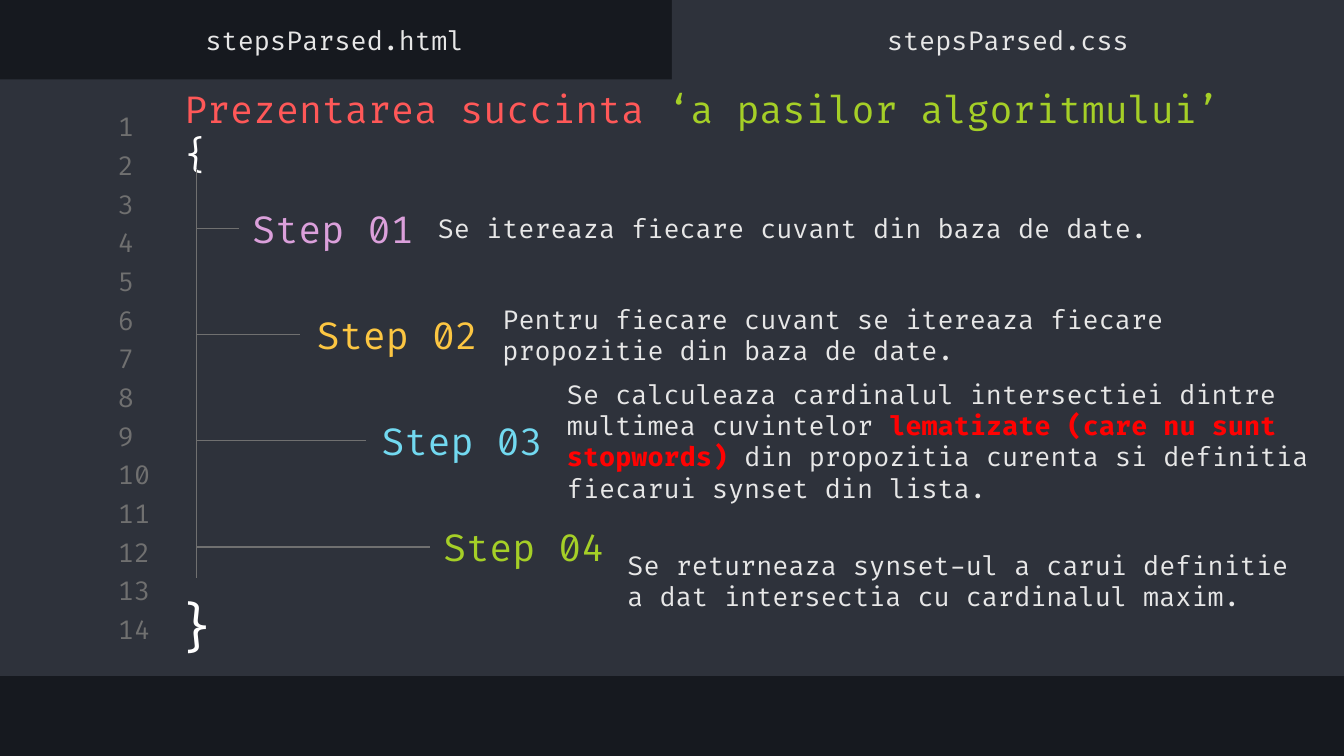
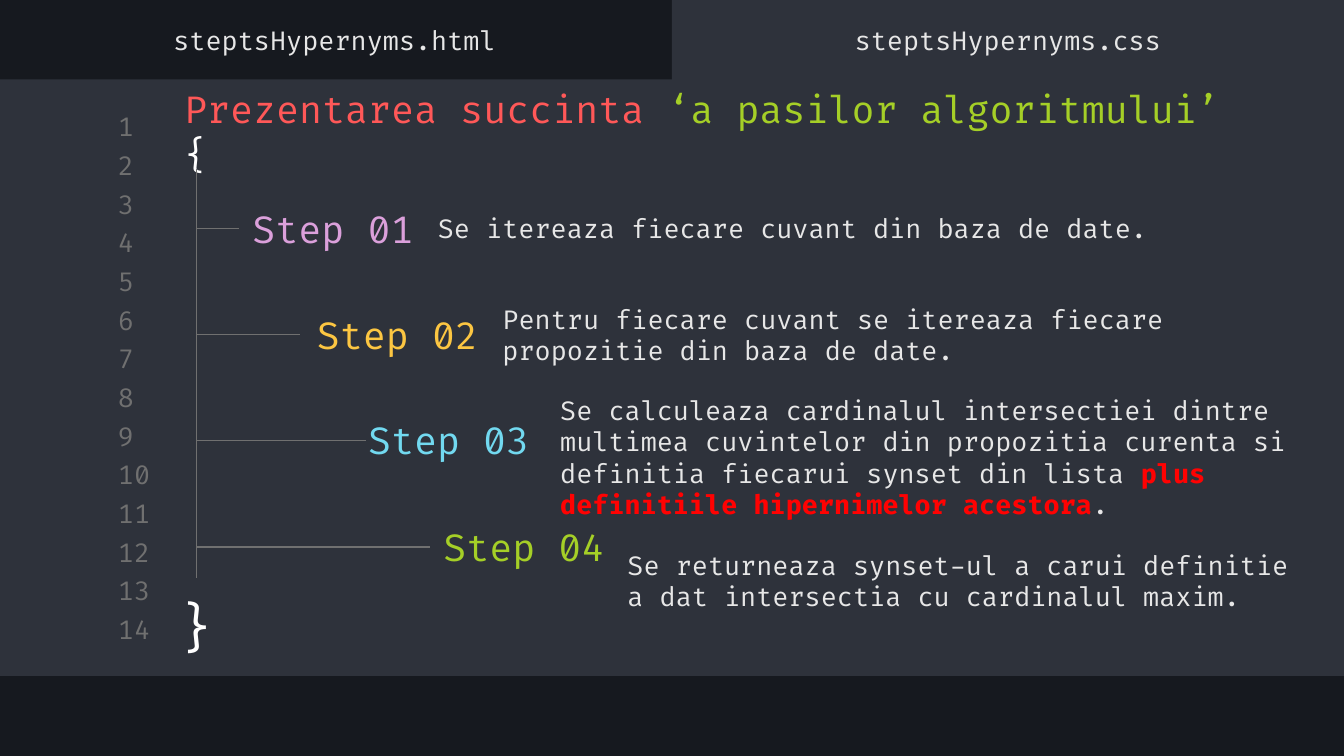
from dataclasses import dataclass

from lxml import etree
from pptx import Presentation
from pptx.dml.color import RGBColor
from pptx.enum import shapes, text
from pptx.oxml import ns
from pptx.util import Inches, Pt


@dataclass(frozen=True)
class Theme:
    font: str = "Fira Code"
    backdrop: str = "16191F"
    panel: str = "2E323B"
    muted: str = "707070"
    body: str = "E7E7E7"
    white: str = "FFFFFF"
    coral: str = "FF5858"
    lime: str = "A5CF27"
    violet: str = "DBA0DB"
    amber: str = "FCC642"
    sky: str = "72D9F0"
    alert: str = "FF0202"
    small: int = 14
    large: int = 20
    brace: int = 28
    rule: float = 0.75


THEME = Theme()
LEFT, CENTER = text.PP_ALIGN.LEFT, text.PP_ALIGN.CENTER
TOP, MIDDLE = text.MSO_ANCHOR.TOP, text.MSO_ANCHOR.MIDDLE

LINE_COUNT = 14
FIRST_LINE, LAST_LINE = 0.82, 4.56
TRUNK_X = 1.46
STEP_TOP, STEP_GAP, STEP_HEIGHT = 1.38, 0.79, 0.64
LABEL_WIDTH = 1.42
STEP_COLORS = (THEME.violet, THEME.amber, THEME.sky, THEME.lime)
RAIL_ENDS = (1.78, 2.23, 2.72, 3.2)


@dataclass
class Step:
    label_at: tuple
    detail_at: tuple
    detail_width: float
    detail: list


def step_top(index):
    return round(STEP_TOP + index * STEP_GAP, 2)


def plain(words):
    return [[(words, THEME.body, False)]]


def fill_frame(frame, paragraphs, size, align=LEFT, anchor=MIDDLE):
    frame.word_wrap = True
    frame.auto_size = text.MSO_AUTO_SIZE.NONE
    frame.vertical_anchor = anchor
    frame.margin_left = frame.margin_right = Inches(0.1)
    frame.margin_top = frame.margin_bottom = Inches(0.1)
    for index, pieces in enumerate(paragraphs):
        paragraph = frame.add_paragraph() if index else frame.paragraphs[0]
        paragraph.alignment = align
        paragraph.space_before = Pt(0)
        for words, color, bold in pieces:
            run = paragraph.add_run()
            run.text = words
            run.font.name = THEME.font
            run.font.size = Pt(size)
            run.font.bold = bold
            run.font.color.rgb = RGBColor.from_string(color)


def add_words(slide, box, paragraphs, size, align=LEFT, anchor=MIDDLE):
    words = slide.shapes.add_textbox(*map(Inches, box))
    fill_frame(words.text_frame, paragraphs, size, align, anchor)
    return words


def add_panel(slide, box):
    panel = slide.shapes.add_shape(shapes.MSO_SHAPE.RECTANGLE, *map(Inches, box))
    panel.shadow.inherit = False
    panel.fill.solid()
    panel.fill.fore_color.rgb = RGBColor.from_string(THEME.panel)
    panel.line.fill.background()
    return panel


def add_rule(slide, start, end):
    rule = slide.shapes.add_connector(
        shapes.MSO_CONNECTOR.STRAIGHT, *map(Inches, (*start, *end)))
    rule.line.color.rgb = RGBColor.from_string(THEME.muted)
    rule.line.width = Pt(THEME.rule)
    etree.SubElement(rule.element.spPr, ns.qn("a:effectLst"))
    return rule


def place(placeholder, box):
    placeholder.left, placeholder.top, placeholder.width, placeholder.height = map(Inches, box)


def add_title(slide):
    place(slide.shapes.title, (1.27, 0.54, 7.97, 0.59))
    pieces = [
        ("Prezentarea succinta ", THEME.coral, False),
        ("‘a pasilor algoritmului’ ", THEME.lime, False),
        ("{", THEME.white, False),
    ]
    fill_frame(slide.shapes.title.text_frame, [pieces], THEME.large, anchor=TOP)


def add_tab(slide, index, left, file_name):
    tab = slide.placeholders[index]
    place(tab, (left, 0.1, 5, 0.39))
    fill_frame(tab.text_frame, plain(file_name), THEME.small, CENTER)
    for paragraph in tab.text_frame.paragraphs:
        properties = paragraph._p.get_or_add_pPr()
        properties.set("marL", "0")
        properties.set("indent", "0")
        etree.SubElement(properties, ns.qn("a:buNone"))


def add_step(slide, index, step):
    label = add_words(
        slide, (*step.label_at, LABEL_WIDTH, STEP_HEIGHT),
        [[(f"Step {index + 1:02}", STEP_COLORS[index], False)]], THEME.large)
    add_words(slide, (*step.detail_at, step.detail_width, STEP_HEIGHT),
              step.detail, THEME.small)
    rail_y = step_top(index) + STEP_HEIGHT / 2
    rail = add_rule(slide, (TRUNK_X, rail_y), (RAIL_ENDS[index], rail_y))
    if step.label_at == (RAIL_ENDS[index], step_top(index)):
        rail.end_connect(label, 1)


def build_editor_layout(layout, slide):
    for placeholder in list(layout.placeholders):
        if placeholder.placeholder_format.idx >= 10:
            layout.shapes.element.remove(placeholder.element)
    editor = [add_panel(slide, (0, 0.59, 10, 4.44)), add_panel(slide, (5, 0, 5, 0.65))]
    pitch = (LAST_LINE - FIRST_LINE) / (LINE_COUNT - 1)
    for number in range(LINE_COUNT):
        editor.append(add_words(
            slide, (0.78, FIRST_LINE + number * pitch, 0.47, 0.24),
            [[(str(number + 1), THEME.muted, False)]], THEME.small))
    for part in editor:
        layout.shapes.element.append(part.element)


def fill_slide(slide, file_stem, third_step):
    add_title(slide)
    add_tab(slide, 1, -0.01, f"{file_stem}.html")
    add_tab(slide, 2, 5, f"{file_stem}.css")
    add_words(slide, (1.19, 4.32, 0.55, 0.67),
              [[("}", THEME.white, False)]], THEME.brace, CENTER, TOP)
    add_rule(slide, (TRUNK_X, 1.26), (TRUNK_X, 4.3))
    steps = [
        Step((1.78, step_top(0)), (3.16, step_top(0)), 5.62,
             plain("Se itereaza fiecare cuvant din baza de date.")),
        Step((2.26, step_top(1)), (3.64, step_top(1)), 6.15,
             plain("Pentru fiecare cuvant se itereaza fiecare propozitie din baza de date.")),
        third_step,
        Step((3.2, step_top(3)), (4.57, 4), 5.22,
             plain("Se returneaza synset-ul a carui definitie a dat "
                   "intersectia cu cardinalul maxim.")),
    ]
    for index, step in enumerate(steps):
        add_step(slide, index, step)


def main():
    deck = Presentation()
    deck.slide_width = Inches(10)
    deck.slide_height = Inches(10) * 9 // 16
    backdrop = deck.slide_master.background.fill
    backdrop.solid()
    backdrop.fore_color.rgb = RGBColor.from_string(THEME.backdrop)

    layout = deck.slide_layouts.get_by_name("Two Content")
    parsed = deck.slides.add_slide(layout)
    hypernyms = deck.slides.add_slide(layout)
    build_editor_layout(layout, parsed)

    opening = "Se calculeaza cardinalul intersectiei dintre multimea cuvintelor "
    fill_slide(parsed, "stepsParsed", Step((2.74, step_top(2)), (4.12, step_top(2)), 5.88, [[
        (opening, THEME.body, False),
        ("lematizate (care nu sunt stopwords)", THEME.alert, True),
        (" din propozitia curenta si definitia fiecarui synset din lista.", THEME.body, False),
    ]]))
    fill_slide(hypernyms, "steptsHypernyms", Step((2.64, 2.95), (4.07, 3.08), 6.23, [
        [(opening + "din propozitia curenta si definitia fiecarui synset din lista ",
          THEME.body, False),
         ("plus", THEME.alert, True)],
        [("definitiile hipernimelor acestora", THEME.alert, True),
         (".", THEME.body, False)],
    ]))
    deck.save("out.pptx")


if __name__ == "__main__":
    main()
